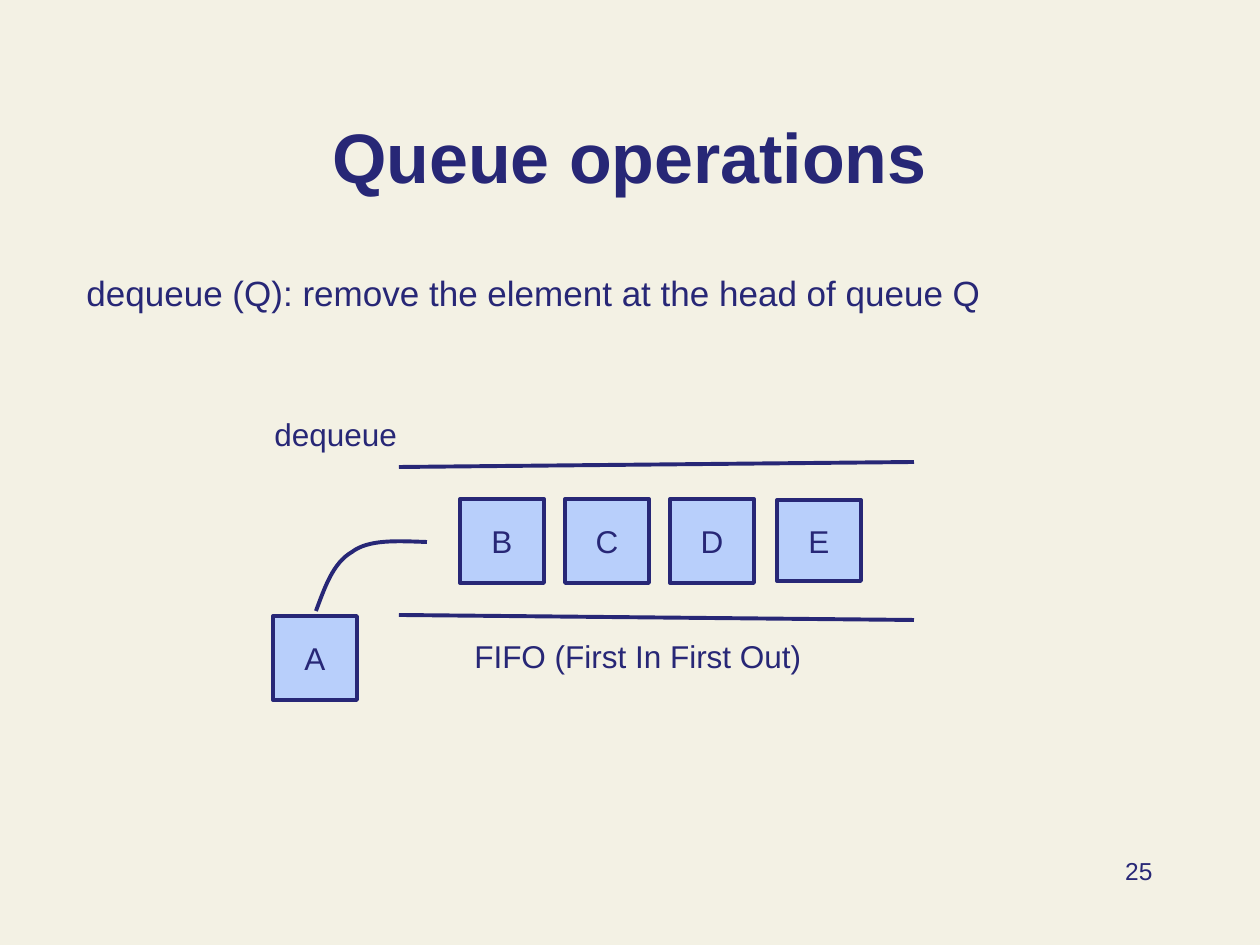
from dataclasses import dataclass
from typing import NamedTuple

from lxml import etree
from pptx import Presentation
from pptx import util as u
from pptx.dml.color import RGBColor
from pptx.enum import shapes, text
from pptx.oxml.ns import qn

SCALE = u.Inches(1) / 126


@dataclass(frozen=True)
class Theme:
    font: str = "Arial"
    ink: RGBColor = RGBColor.from_string("272776")
    fill: RGBColor = RGBColor.from_string("B8CFFB")
    back: RGBColor = RGBColor.from_string("F3F1E4")
    line: float = 2.25
    head: int = 40
    body: int = 20
    label: int = 18
    page: int = 14


class Rect(NamedTuple):
    left: int
    top: int
    width: int
    height: int


class Label(NamedTuple):
    words: str
    rect: Rect
    size: int
    align: text.PP_ALIGN = text.PP_ALIGN.LEFT


class Box(NamedTuple):
    name: str
    rect: Rect


class Rail(NamedTuple):
    left: int
    top: int
    right: int
    end: int


THEME = Theme()
LEFT, STEP, SIDE = 460, 105, 84
BODY = Label("dequeue (Q): remove the element at the head of queue Q",
             Rect(74, 265, 1101, 93), THEME.body)
PAGE = Label("25", Rect(903, 850, 262, 63), THEME.page, text.PP_ALIGN.RIGHT)
NOTES = [
    Label("dequeue", Rect(262, 409, 149, 50), THEME.label),
    Label("FIFO (First In First Out)", Rect(462, 631, 355, 50), THEME.label),
]
BOXES = [Box(name, Rect(LEFT + i * STEP, 499, SIDE, SIDE))
         for i, name in enumerate("BCD")]
BOXES += [Box("A", Rect(273, 616, SIDE, SIDE)),
          Box("E", Rect(777, 500, SIDE, 81))]
RAILS = [Rail(399, 467, 914, 462), Rail(399, 615, 914, 620)]
CURVE = [(427, 542), (398, 541), (369, 539), (352, 552),
         (333, 563), (325, 587), (316, 611)]


def px(n: int) -> int:
    return round(n * SCALE)


def apply(item, values: dict) -> None:
    for key, value in values.items():
        setattr(item, key, value)


def write(shape, words: str, size: int, align, anchor, bold=False) -> None:
    frame = shape.text_frame
    apply(frame, {"word_wrap": True, "vertical_anchor": anchor,
                  "auto_size": text.MSO_AUTO_SIZE.NONE,
                  "margin_left": u.Inches(0.1), "margin_right": u.Inches(0.1),
                  "margin_top": u.Inches(0.05), "margin_bottom": u.Inches(0.05)})
    para = frame.paragraphs[0]
    para.alignment = align
    run = para.add_run()
    run.text = words
    apply(run.font, {"name": THEME.font, "size": u.Pt(size), "bold": bold})
    run.font.color.rgb = THEME.ink


def stroke(shape) -> None:
    shape.line.color.rgb = THEME.ink
    shape.line.width = u.Pt(THEME.line)


def add_title(slide) -> None:
    title = slide.shapes.title
    rect = Rect(94, 68, 1071, 136)
    apply(title, {key: px(n) for key, n in rect._asdict().items()})
    write(title, "Queue operations", THEME.head, text.PP_ALIGN.CENTER,
          text.MSO_ANCHOR.BOTTOM, True)


def add_label(slide, label: Label) -> None:
    box = slide.shapes.add_textbox(*map(px, label.rect))
    write(box, label.words, label.size, label.align, text.MSO_ANCHOR.TOP)


def add_box(slide, box: Box) -> None:
    shape = slide.shapes.add_shape(shapes.MSO_SHAPE.RECTANGLE, *map(px, box.rect))
    shape.shadow.inherit = False
    shape.fill.solid()
    shape.fill.fore_color.rgb = THEME.fill
    stroke(shape)
    write(shape, box.name, THEME.label, text.PP_ALIGN.CENTER,
          text.MSO_ANCHOR.MIDDLE)


def add_rail(slide, rail: Rail) -> None:
    line = slide.shapes.add_connector(shapes.MSO_CONNECTOR.STRAIGHT,
                                      *map(px, rail))
    stroke(line)
    etree.SubElement(line._element.spPr, qn("a:effectLst"))


def add_curve(slide, points: list) -> None:
    build = slide.shapes.build_freeform(*points[0], scale=SCALE)
    build.add_line_segments(points[1:], close=False)
    shape = build.convert_to_shape()
    shape.shadow.inherit = False
    shape.fill.background()
    stroke(shape)
    parts = list(shape._element.iter(qn("a:lnTo")))
    for i in range(0, len(parts), 3):
        bend = etree.Element(qn("a:cubicBezTo"))
        parts[i].addprevious(bend)
        for part in parts[i:i + 3]:
            bend.append(part[0])
            part.getparent().remove(part)


def main() -> None:
    deck = Presentation()
    apply(deck, {"slide_width": px(1260), "slide_height": px(945)})
    slide = deck.slides.add_slide(deck.slide_layouts[5])
    slide.background.fill.solid()
    slide.background.fill.fore_color.rgb = THEME.back
    add_title(slide)
    for label in (BODY, PAGE):
        add_label(slide, label)
    for box in BOXES:
        add_box(slide, box)
    for rail in RAILS:
        add_rail(slide, rail)
    add_curve(slide, CURVE)
    for label in NOTES:
        add_label(slide, label)
    deck.save("out.pptx")


if __name__ == "__main__":
    main()
